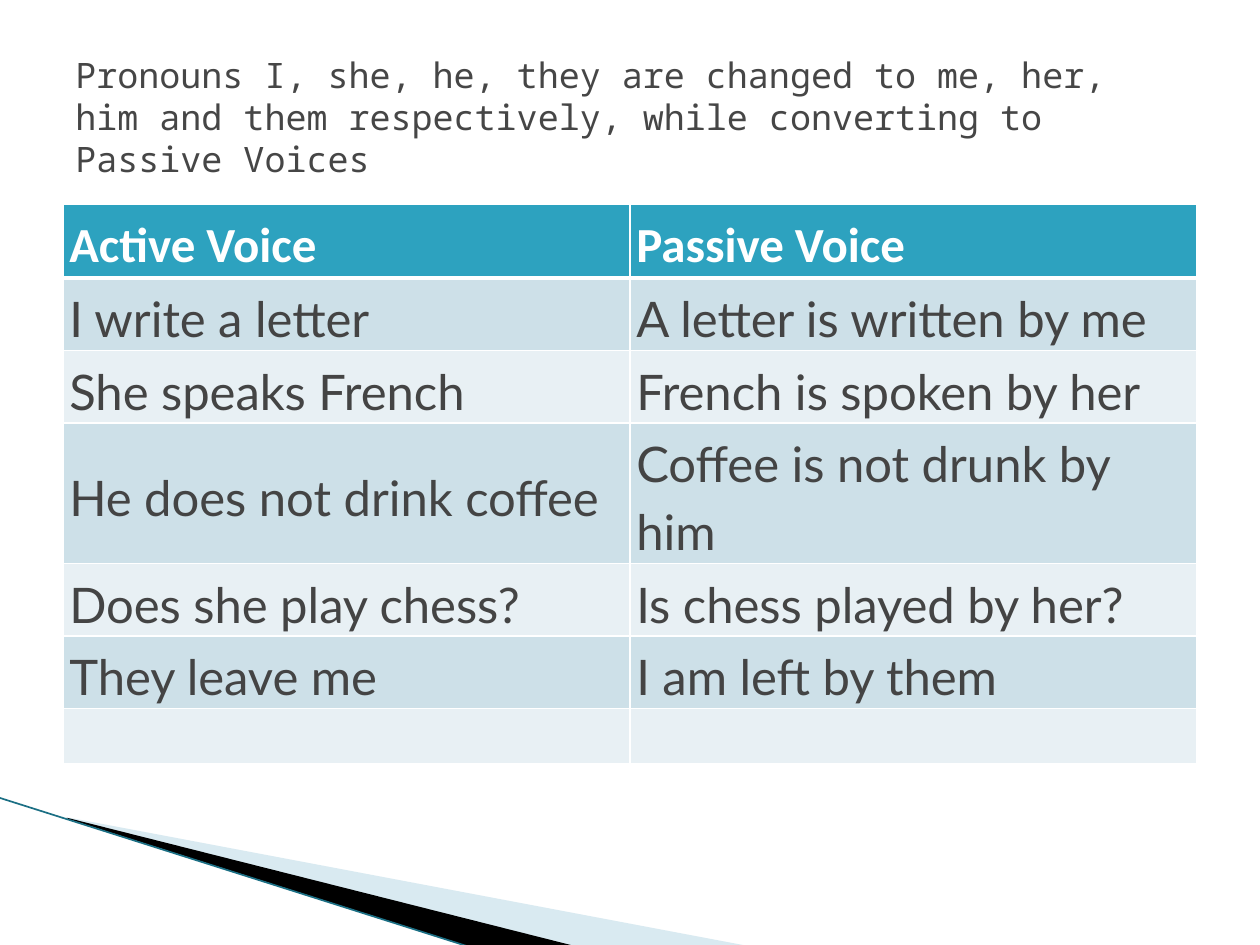
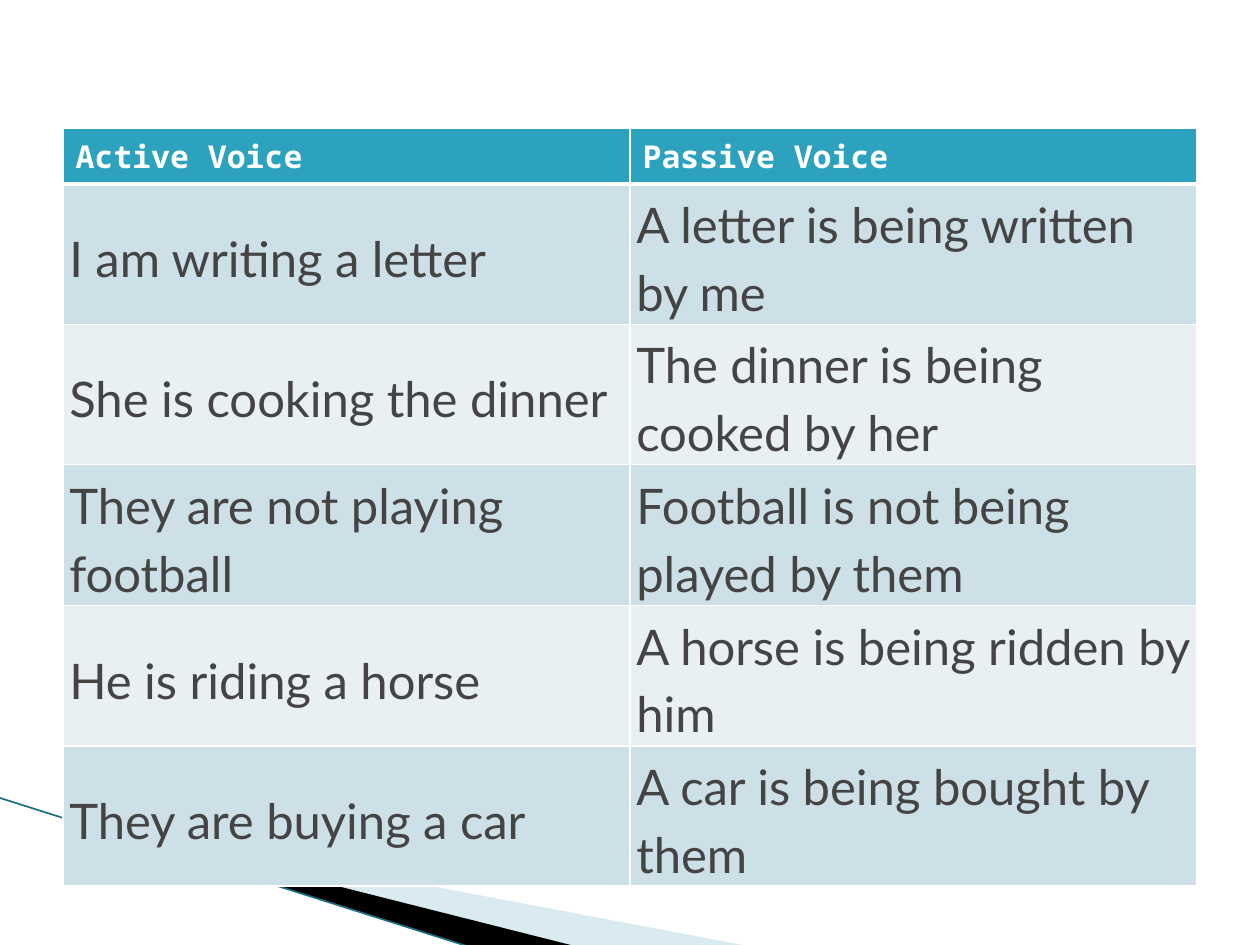
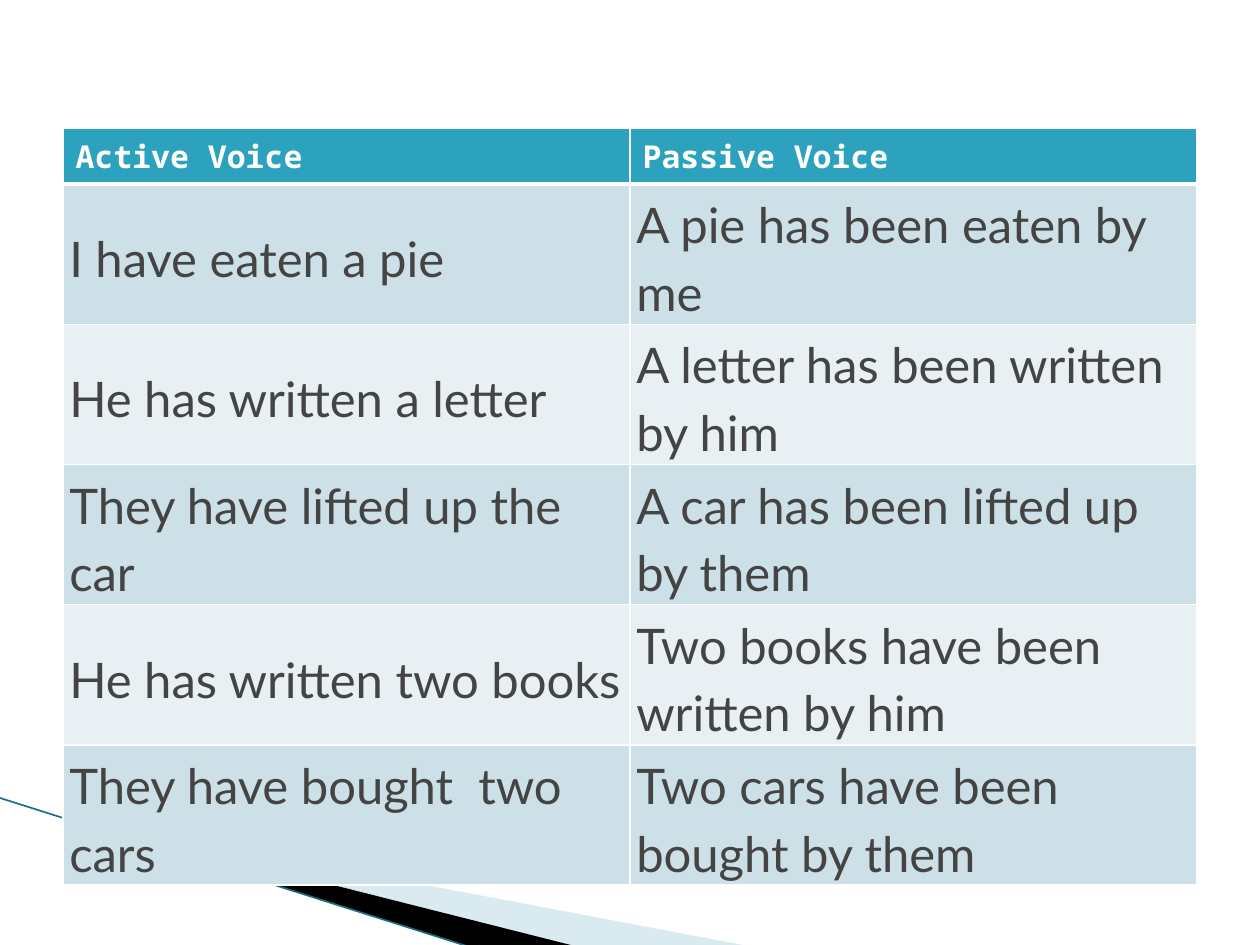
from lxml import etree
from pptx import Presentation
from pptx.dml.color import RGBColor
from pptx.enum.shapes import MSO_CONNECTOR
from pptx.enum.text import MSO_ANCHOR
from pptx.oxml.ns import qn
from pptx.util import Inches, Pt

STRAIGHT = MSO_CONNECTOR.STRAIGHT
MIDDLE = MSO_ANCHOR.MIDDLE

WHITE = RGBColor(0xFF, 0xFF, 0xFF)
BLACK = RGBColor(0x00, 0x00, 0x00)
TEAL = RGBColor(0x2D, 0xA2, 0xBF)
DARK_TEAL = RGBColor(0x1B, 0x6F, 0x84)
PALE_BLUE = RGBColor(0xA0, 0xCB, 0xDC)
BAND_DARK = RGBColor(0xCD, 0xE0, 0xE8)
BAND_LIGHT = RGBColor(0xE8, 0xF0, 0xF4)
BODY_GREY = RGBColor(0x44, 0x44, 0x44)
TITLE_GREY = RGBColor(0x46, 0x46, 0x46)

MONO = "Noto Sans Mono"
BODY_FONT = "Lato"
LEFT, WIDTH = 0.5, 9

TITLE = ("Pronouns I, she, he, they are changed to me, her, him and them "
         "respectively, while converting to Passive Voices")
HEADER = ("Active Voice", "Passive Voice")
SPACED_HEADER = ("Active Voice ", "Passive Voice")
SIMPLE_PRESENT = [
    ("I write a letter", "A letter is written by me"),
    ("She speaks French", "French is spoken by her"),
    ("He does not drink coffee", "Coffee is not drunk by him"),
    ("Does she play chess?", "Is chess played by her?"),
    ("They leave me", "I am left by them"),
    ("", ""),
]
PRESENT_CONTINUOUS = [
    ("I am writing a letter", "A letter is being written by me"),
    ("She is cooking the dinner", "The dinner is being cooked by her"),
    ("They are not playing football", "Football is not being played by them"),
    ("He is riding a horse", "A horse is being ridden by him"),
    ("They are buying a car", "A car is being bought by them"),
]
PRESENT_PERFECT = [
    ("I have eaten a pie", "A pie has been eaten by me"),
    ("He has written a letter", "A letter has been written by him"),
    ("They have lifted up the car", "A car has been lifted up by them"),
    ("He has written two books", "Two books have been written by him"),
    ("They have bought  two cars", "Two cars have been bought by them"),
]


def format_runs(paragraph, font_name, size, color, bold=False):
    """Apply one font to every run of a paragraph."""
    for run in paragraph.runs:
        run.font.name = font_name
        run.font.size = Pt(size)
        run.font.color.rgb = color
        run.font.bold = bold


def reframe(shape, left, top, width, height):
    """Give an outline another frame and keep its points where they are."""
    shift_x = shape.left - Inches(left)
    shift_y = shape.top - Inches(top)
    shape.left, shape.top = Inches(left), Inches(top)
    shape.width, shape.height = Inches(width), Inches(height)
    outline = shape._element.find(".//" + qn("a:pathLst"))[0]
    outline.set("w", str(Inches(width)))
    outline.set("h", str(Inches(height)))
    for point in outline.iter(qn("a:pt")):
        point.set("x", str(int(point.get("x")) + shift_x))
        point.set("y", str(int(point.get("y")) + shift_y))


def add_wedge(slide, frame, points, color, alpha=100):
    """Draw a filled outline through points given in inches."""
    corners = [(Inches(x), Inches(y)) for x, y in points]
    builder = slide.shapes.build_freeform(*corners[0])
    builder.add_line_segments(corners[1:], close=True)
    shape = builder.convert_to_shape()
    reframe(shape, *frame)
    shape.shadow.inherit = False
    shape.fill.solid()
    shape.fill.fore_color.rgb = color
    shape.line.fill.background()
    if alpha < 100:
        color_element = shape.fill._xPr.find(".//" + qn("a:srgbClr"))
        etree.SubElement(color_element, qn("a:alpha"), val=str(alpha * 1000))


def add_corner_decoration(slide):
    """Draw the wedges and the edge line at the lower left."""
    add_wedge(slide, (0.78, 5.47, 4.16, 1.58),
              [(0.55, 6.49), (5.95, 7.51), (4.56, 7.51), (0.55, 6.5)],
              PALE_BLUE, alpha=40)
    add_wedge(slide, (-0.06, 6.33, 4.16, 0.92),
              [(0.53, 6.49), (4.57, 7.51), (3.72, 7.51), (0.54, 6.5)], BLACK)
    line = slide.shapes.add_connector(
        STRAIGHT, Inches(-0.01), Inches(6.33), Inches(3.71), Inches(7.51))
    line.line.color.rgb = DARK_TEAL
    line.line.width = Pt(0.95)
    etree.SubElement(line._element.spPr, qn("a:effectLst"))


def set_borders(cell, top=1, bottom=1):
    """Give a cell white borders, with widths in points."""
    properties = cell._tc.get_or_add_tcPr()
    for side, width in (("L", 1), ("R", 1), ("T", top), ("B", bottom)):
        line = etree.SubElement(properties, qn("a:ln" + side), w=str(Pt(width)))
        fill = etree.SubElement(line, qn("a:solidFill"))
        etree.SubElement(fill, qn("a:srgbClr"), val=str(WHITE))


def fill_cell(cell, text, color):
    """Set the text and background of a cell."""
    cell.text_frame.text = text
    cell.fill.solid()
    cell.fill.fore_color.rgb = color


def tighten_cell(cell):
    """Centre a cell vertically with narrow margins and open line spacing."""
    cell.vertical_anchor = MIDDLE
    cell.margin_left = cell.margin_right = Inches(0.05)
    cell.margin_top = cell.margin_bottom = Inches(0.02)
    cell.text_frame.paragraphs[0].line_spacing = 1.15


def add_voice_table(slide, top, height, header, rows, row_heights, large_header=False):
    """Add a two-column table of active and passive sentences."""
    frame = slide.shapes.add_table(
        len(rows) + 1, len(header), Inches(LEFT), Inches(top),
        Inches(WIDTH), Inches(height))
    table = frame.table
    table.horz_banding = False
    for row, row_height in zip(table.rows, row_heights):
        row.height = Inches(row_height)
    frame.height = Inches(height)
    for column, text in enumerate(header):
        cell = table.cell(0, column)
        set_borders(cell, bottom=3)
        fill_cell(cell, text, TEAL)
        font_name, size = ("Calibri", 28) if large_header else (MONO, 18)
        format_runs(cell.text_frame.paragraphs[0], font_name, size, WHITE, bold=True)
        if large_header:
            tighten_cell(cell)
    for index, sentences in enumerate(rows, start=1):
        for column, text in enumerate(sentences):
            cell = table.cell(index, column)
            set_borders(cell, top=3 if index == 1 else 1)
            fill_cell(cell, text, BAND_DARK if index % 2 else BAND_LIGHT)
            if text:
                tighten_cell(cell)
                format_runs(cell.text_frame.paragraphs[0], BODY_FONT, 28, BODY_GREY)


def add_title(slide, text):
    """Add the title text above the table."""
    box = slide.shapes.add_textbox(
        Inches(LEFT), Inches(0.3), Inches(WIDTH), Inches(1.25))
    frame = box.text_frame
    frame.word_wrap = True
    frame.vertical_anchor = MIDDLE
    frame.text = text
    format_runs(frame.paragraphs[0], MONO, 20, TITLE_GREY)


def add_slide(presentation):
    """Add a blank slide with the shared decoration."""
    slide = presentation.slides.add_slide(presentation.slide_layouts[6])
    add_corner_decoration(slide)
    return slide


def main():
    """Build the presentation and save it."""
    presentation = Presentation()
    presentation.slide_width = Inches(10)
    presentation.slide_height = Inches(7.5)

    slide = add_slide(presentation)
    add_voice_table(slide, 1.62, 4.45, HEADER, SIMPLE_PRESENT,
                    [0.41] * 6 + [0.44], large_header=True)
    add_title(slide, TITLE)

    slide = add_slide(presentation)
    add_voice_table(slide, 1.02, 5.87, SPACED_HEADER, PRESENT_CONTINUOUS,
                    [0.4, 1.08, 1.08, 1.12, 1.08, 1.08])

    slide = add_slide(presentation)
    add_voice_table(slide, 1.02, 5.98, SPACED_HEADER, PRESENT_PERFECT,
                    [0.39] + [1.05] * 5)

    presentation.save("out.pptx")


main()
